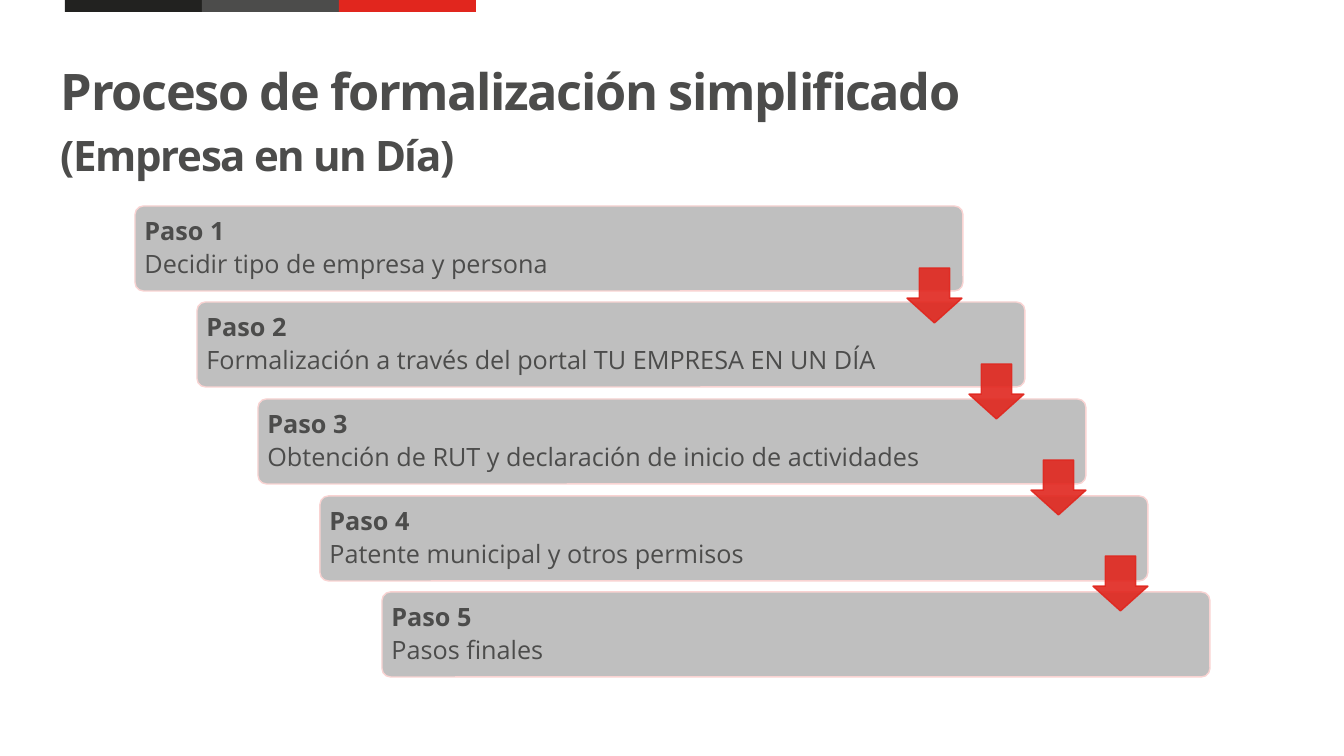
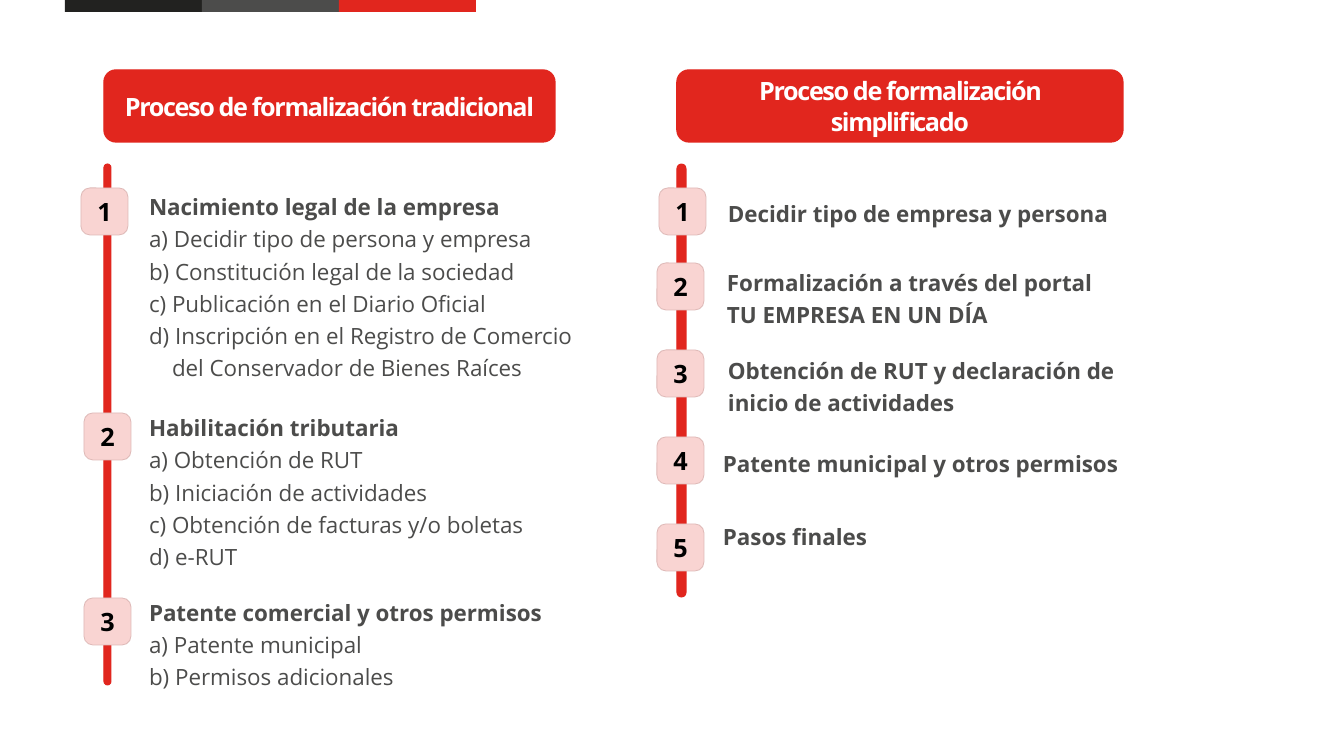
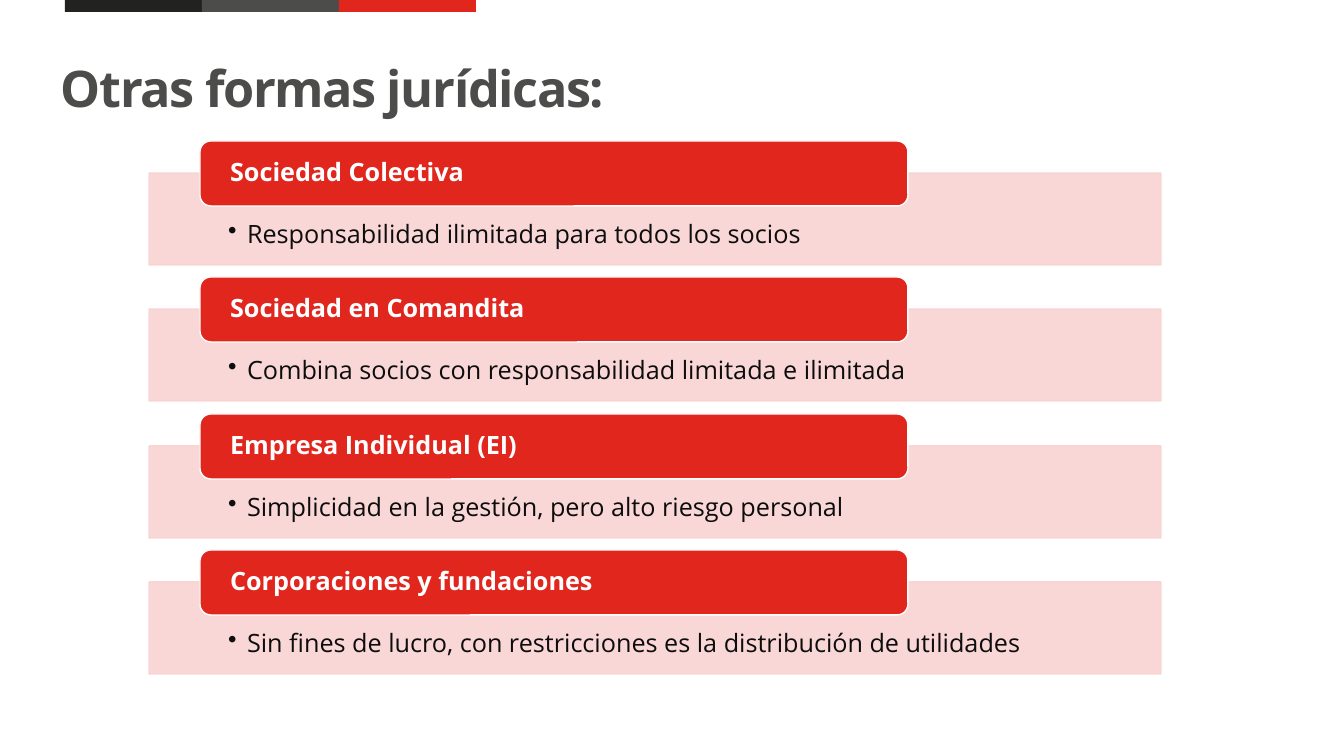
from dataclasses import dataclass
from typing import NamedTuple

from lxml.etree import SubElement
from pptx import Presentation
from pptx.dml.color import RGBColor
from pptx.enum.shapes import MSO_AUTO_SHAPE_TYPE as ShapeType
from pptx.enum.text import MSO_ANCHOR as Anchor, PP_ALIGN as Align
from pptx.oxml.ns import qn
from pptx.shapes.autoshape import Shape
from pptx.slide import Slide
from pptx.text.text import TextFrame
from pptx.util import Emu, Pt

EMU_PER_PX = 914400 / 100.8
FONT = "Open Sans"
COLORS = {
    "black": "000000",
    "ink": "0D0D0D",
    "charcoal": "222220",
    "gray": "4C4C4B",
    "silver": "BFBFBF",
    "red": "E1261E",
    "blush": "F9D3D2",
    "badge": "F9D4D2",
    "badge_edge": "DFBAB8",
    "white": "FFFFFF",
}


class Box(NamedTuple):
    left: int
    top: int
    width: int
    height: int


@dataclass(frozen=True)
class Stage:
    badge_left: int
    badge_top: int
    text_box: Box
    headings: tuple[str, ...]
    items: tuple[str, ...] = ()
    continuation: str = ""
    anchor: Anchor = Anchor.MIDDLE
    line_spacing: float | Pt = Pt(23)


@dataclass(frozen=True)
class Timeline:
    header: str
    header_box: Box
    rail: Box
    stages: tuple[Stage, ...]


class LegalForm(NamedTuple):
    name: str
    feature: str


STEPS = (
    "Decidir tipo de empresa y persona",
    "Formalización a través del portal TU EMPRESA EN UN DÍA",
    "Obtención de RUT y declaración de inicio de actividades",
    "Patente municipal y otros permisos",
    "Pasos finales",
)

TIMELINES = (
    Timeline(
        "Proceso de formalización tradicional",
        Box(104, 70, 451, 72),
        Box(104, 164, 7, 521),
        (
            Stage(
                81, 188, Box(149, 188, 425, 224),
                ("Nacimiento legal de la empresa",),
                (
                    "a) Decidir tipo de persona y empresa",
                    "b) Constitución legal de la sociedad",
                    "c) Publicación en el Diario Oficial",
                    "d) Inscripción en el Registro de Comercio",
                ),
                continuation="del Conservador de Bienes Raíces",
                anchor=Anchor.TOP,
            ),
            Stage(
                84, 413, Box(149, 411, 396, 157),
                ("Habilitación tributaria",),
                (
                    "a) Obtención de RUT",
                    "b) Iniciación de actividades",
                    "c) Obtención de facturas y/o boletas",
                    "d) e-RUT",
                ),
            ),
            Stage(
                84, 598, Box(149, 598, 405, 88),
                ("Patente comercial y otros permisos",),
                ("a) Patente municipal", "b) Permisos adicionales"),
            ),
        ),
    ),
    Timeline(
        "Proceso de formalización simplificado",
        Box(677, 70, 446, 72),
        Box(677, 164, 9, 433),
        (
            Stage(659, 188, Box(728, 195, 396, 32),
                  ("Decidir tipo de empresa y persona",), anchor=Anchor.TOP),
            Stage(657, 263, Box(727, 261, 396, 70),
                  ("Formalización a través del portal", "TU EMPRESA EN UN DÍA")),
            Stage(657, 350, Box(728, 349, 406, 70),
                  ("Obtención de RUT y declaración de", "inicio de actividades")),
            Stage(657, 437, Box(723, 437, 406, 47),
                  ("Patente municipal y otros permisos",)),
            Stage(657, 524, Box(723, 523, 320, 32),
                  ("Pasos finales",), anchor=Anchor.TOP, line_spacing=1.0),
        ),
    ),
)

LEGAL_FORMS = (
    LegalForm("Sociedad Colectiva", "Responsabilidad ilimitada para todos los socios"),
    LegalForm("Sociedad en Comandita", "Combina socios con responsabilidad limitada e ilimitada"),
    LegalForm("Empresa Individual (EI)", "Simplicidad en la gestión, pero alto riesgo personal"),
    LegalForm("Corporaciones y fundaciones",
              "Sin fines de lucro, con restricciones es la distribución de utilidades"),
)


def px(length: float) -> Emu:
    return Emu(round(length * EMU_PER_PX))


def rgb(name: str) -> RGBColor:
    return RGBColor.from_string(COLORS[name])


def spread(first: int, last: int, count: int) -> list[int]:
    return [round(first + (last - first) * index / (count - 1)) for index in range(count)]


def set_frame(frame: TextFrame, anchor: Anchor, margins: tuple[int, int, int, int],
              wrap: bool = True) -> None:
    frame.word_wrap = wrap
    frame.vertical_anchor = anchor
    frame.margin_left, frame.margin_top, frame.margin_right, frame.margin_bottom = map(px, margins)


def add_shape(slide: Slide, kind: ShapeType, box: Box, fill: str, *, line: str = "",
              line_width: float = 1, adjustments: tuple[float, ...] = (),
              opacity: int = 100, margins: tuple[int, int, int, int] = (10, 5, 10, 5)) -> Shape:
    shape = slide.shapes.add_shape(kind, *map(px, box))
    shape.shadow.inherit = False
    shape.fill.solid()
    shape.fill.fore_color.rgb = rgb(fill)
    if line:
        shape.line.color.rgb = rgb(line)
        shape.line.width = Pt(line_width)
    else:
        shape.line.fill.background()
    for index, value in enumerate(adjustments):
        shape.adjustments[index] = value
    if opacity < 100:
        for color in shape.element.spPr.iter(qn("a:srgbClr")):
            SubElement(color, qn("a:alpha")).set("val", str(opacity * 1000))
    set_frame(shape.text_frame, Anchor.MIDDLE, margins)
    return shape


def add_text_box(slide: Slide, box: Box, anchor: Anchor = Anchor.TOP,
                 margins: tuple[int, int, int, int] = (10, 5, 10, 5),
                 wrap: bool = True) -> TextFrame:
    frame = slide.shapes.add_textbox(*map(px, box)).text_frame
    set_frame(frame, anchor, margins, wrap)
    return frame


def add_text(frame: TextFrame, text: str, *, size: int = 18, color: str = "gray",
             bold: bool = False, align: Align = Align.LEFT, line_spacing: float | Pt = 1.0,
             space_after: int = 0, tracking: int = 0, indent: int = 0, bullet: str = "",
             same_paragraph: bool = False) -> None:
    paragraph = frame.paragraphs[-1]
    if paragraph.runs and not same_paragraph:
        paragraph = frame.add_paragraph()
    paragraph.alignment = align
    paragraph.line_spacing = line_spacing
    paragraph.space_after = Pt(space_after)
    properties = paragraph._p.get_or_add_pPr()
    if indent:
        properties.set("marL", str(px(indent)))
        properties.set("indent", str(px(-indent if bullet else 0)))
    if bullet:
        SubElement(properties, qn("a:buChar")).set("char", bullet)
    run = paragraph.add_run()
    run.text = text
    run.font.name = FONT
    run.font.size = Pt(size)
    run.font.bold = bold
    run.font.color.rgb = rgb(color)
    if tracking:
        run.font._element.set("spc", str(tracking * 100))


def add_base_slide(presentation: Presentation) -> Slide:
    slide = presentation.slides.add_slide(presentation.slide_layouts[6])
    for left, color in zip(spread(65, 339, 3), ("charcoal", "gray", "red")):
        add_shape(slide, ShapeType.RECTANGLE, Box(left, 0, 137, 12), color)
    return slide


def add_title(slide: Slide, box: Box, title: str, subtitle: str = "") -> None:
    frame = add_text_box(slide, box)
    add_text(frame, title, size=36, bold=True, line_spacing=Pt(42), tracking=-1)
    if subtitle:
        add_text(frame, subtitle, size=30, bold=True, line_spacing=Pt(42), tracking=-1,
                 same_paragraph=True)


def add_timeline(slide: Slide, timeline: Timeline) -> None:
    add_shape(slide, ShapeType.ROUNDED_RECTANGLE, timeline.rail, "red", line="red",
              line_width=0.75, adjustments=(0.5,))
    for number, stage in enumerate(timeline.stages, 1):
        badge = add_shape(slide, ShapeType.ROUNDED_RECTANGLE,
                          Box(stage.badge_left, stage.badge_top, 47, 47), "badge",
                          line="badge_edge", line_width=0.6, adjustments=(0.19,))
        add_text(badge.text_frame, str(number), color="black", bold=True, align=Align.CENTER)
        frame = add_text_box(slide, stage.text_box, stage.anchor, (0, 0, 0, 0), wrap=False)
        for heading in stage.headings:
            add_text(frame, heading, size=16, bold=True, line_spacing=stage.line_spacing)
        for item in stage.items:
            add_text(frame, item, size=16, line_spacing=stage.line_spacing)
        if stage.continuation:
            add_text(frame, stage.continuation, size=16, line_spacing=stage.line_spacing,
                     indent=23)
    header = add_shape(slide, ShapeType.ROUNDED_RECTANGLE, timeline.header_box, "red", line="red")
    add_text(header.text_frame, timeline.header, color="white", bold=True,
             align=Align.CENTER, tracking=-1)


def build_steps_slide(presentation: Presentation) -> None:
    slide = add_base_slide(presentation)
    add_title(slide, Box(51, 57, 1075, 129),
              "Proceso de formalización simplificado ", "(Empresa en un Día)")
    count = len(STEPS)
    corners = zip(spread(135, 382, count), spread(206, 592, count))
    for number, (step, (left, top)) in enumerate(zip(STEPS, corners), 1):
        card = add_shape(slide, ShapeType.ROUNDED_RECTANGLE, Box(left, top, 828, 85), "silver",
                         line="blush", adjustments=(0.1,), margins=(7, 7, 7, 7))
        add_text(card.text_frame, f"Paso {number}", bold=True, line_spacing=0.9, space_after=4)
        add_text(card.text_frame, step, line_spacing=0.9, space_after=2)
    for left, top in zip(spread(907, 1093, count - 1), spread(268, 556, count - 1)):
        add_shape(slide, ShapeType.DOWN_ARROW, Box(left, top, 55, 55), "red", line="red",
                  adjustments=(0.55, 0.45), opacity=90)


def build_comparison_slide(presentation: Presentation) -> None:
    slide = add_base_slide(presentation)
    for timeline in TIMELINES:
        add_timeline(slide, timeline)


def build_legal_forms_slide(presentation: Presentation) -> None:
    slide = add_base_slide(presentation)
    add_title(slide, Box(51, 54, 1189, 70), "Otras formas jurídicas:")
    for form, top in zip(LEGAL_FORMS, spread(173, 582, len(LEGAL_FORMS))):
        panel = add_shape(slide, ShapeType.RECTANGLE, Box(149, top, 1012, 92), "blush",
                          line="blush", opacity=90, margins=(79, 46, 79, 14))
        add_text(panel.text_frame, form.feature, color="ink", line_spacing=0.9,
                 space_after=2, indent=19, bullet="•")
        label = add_shape(slide, ShapeType.ROUNDED_RECTANGLE, Box(200, top - 32, 708, 65), "red",
                          line="white", margins=(27, 0, 27, 0))
        add_text(label.text_frame, form.name, color="white", bold=True, line_spacing=0.9,
                 space_after=4)


def main() -> None:
    presentation = Presentation()
    presentation.slide_width = px(1344)
    presentation.slide_height = px(756)
    build_steps_slide(presentation)
    build_comparison_slide(presentation)
    build_legal_forms_slide(presentation)
    presentation.save("out.pptx")


if __name__ == "__main__":
    main()
